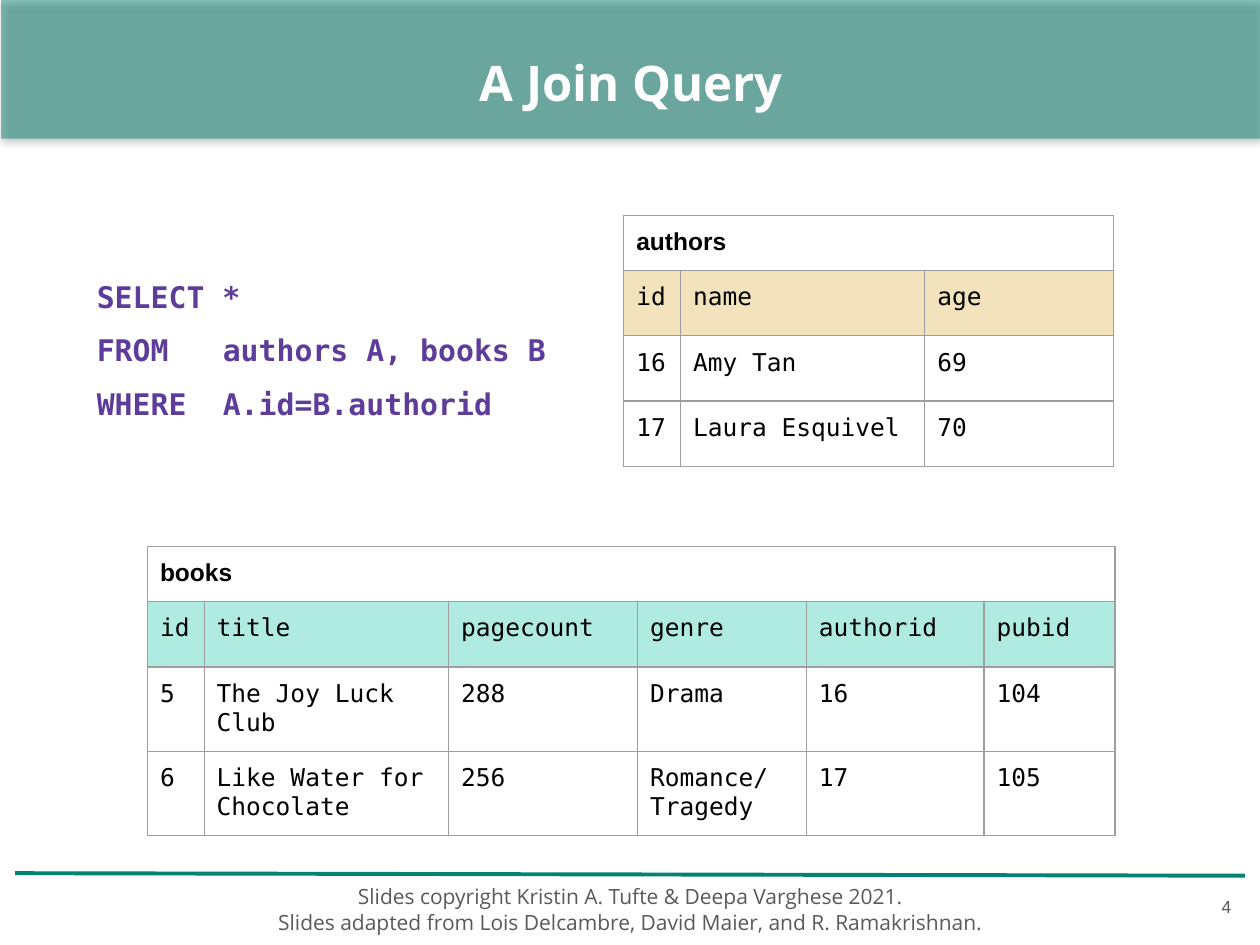
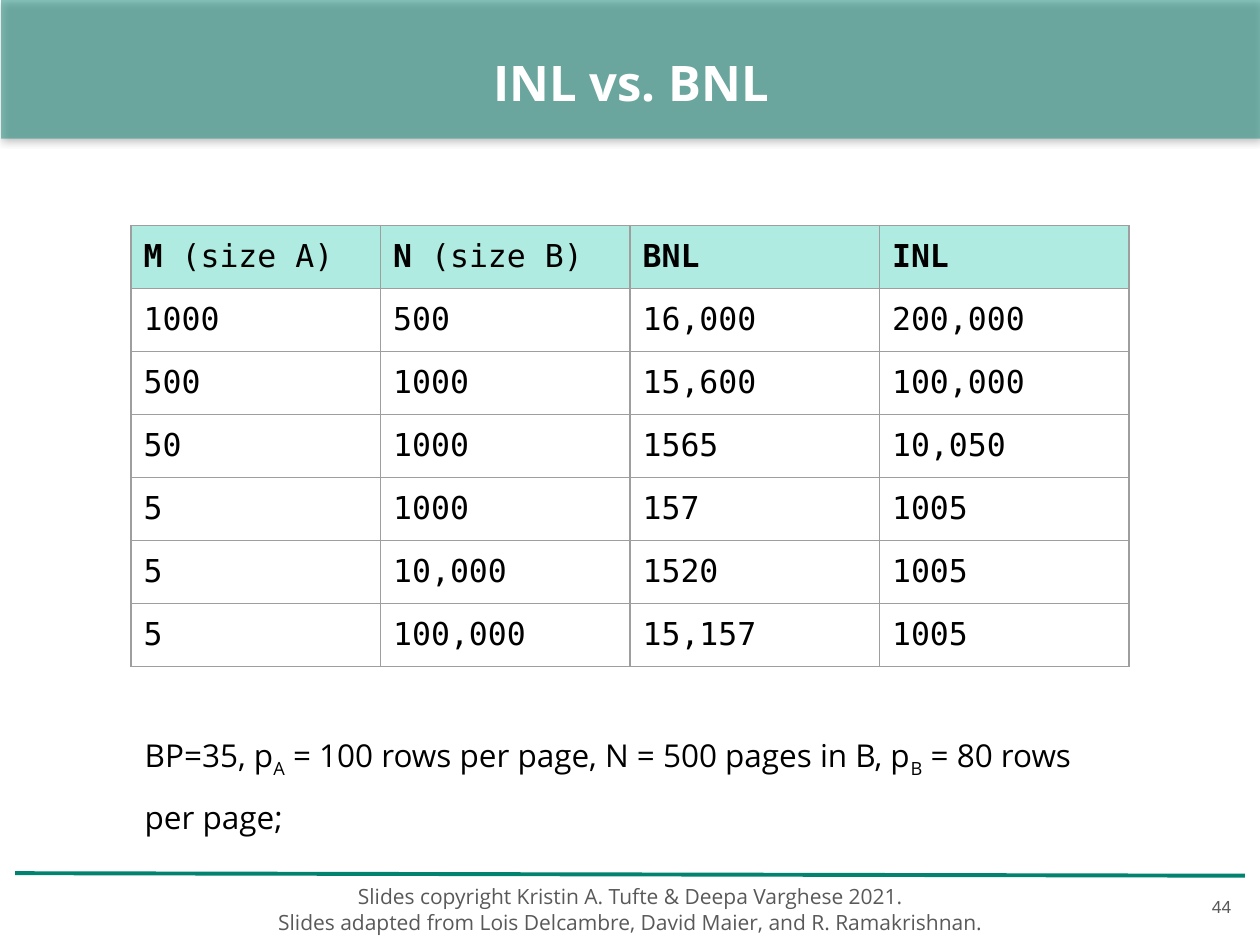
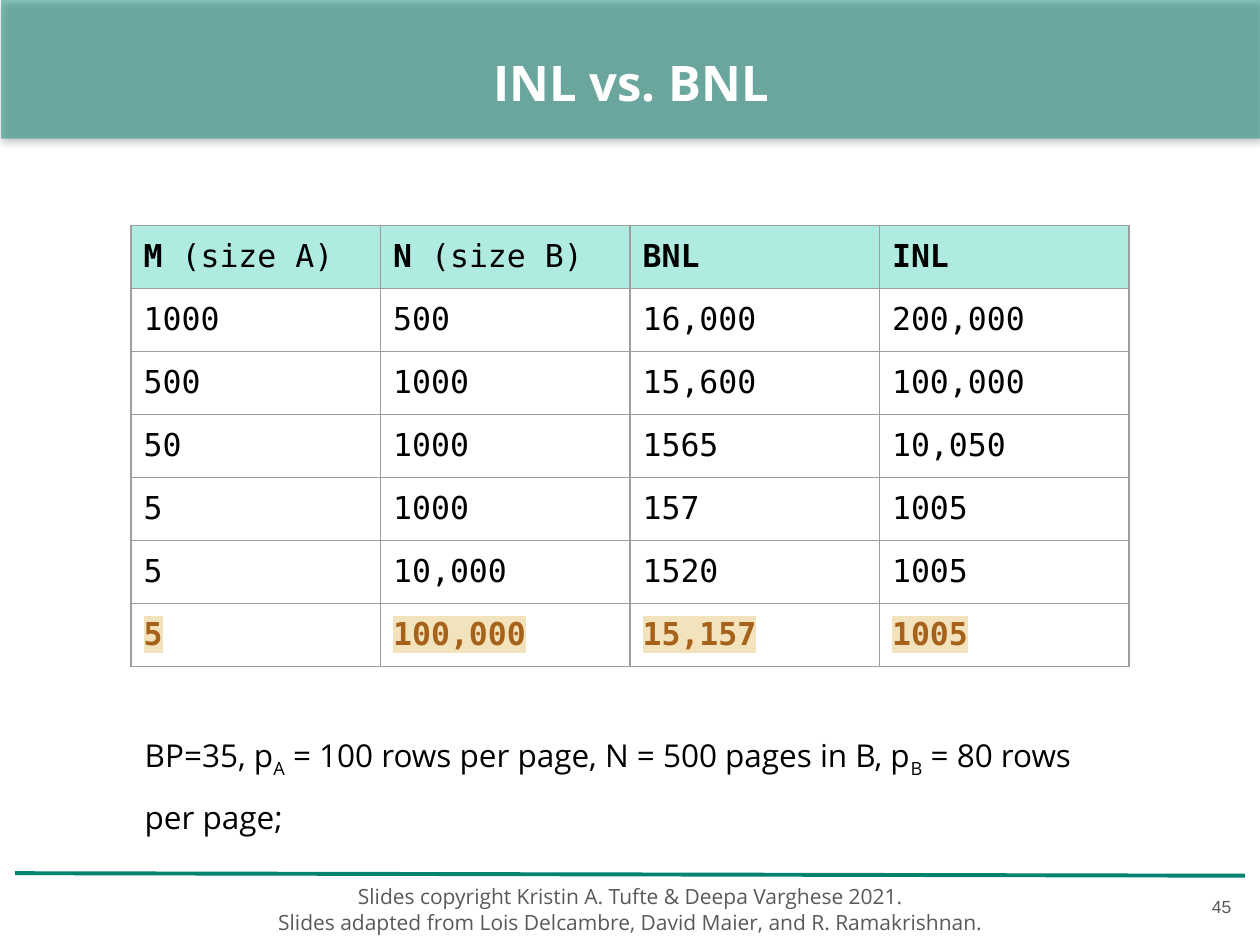
from lxml import etree
from pptx import Presentation
from pptx.dml.color import RGBColor
from pptx.enum import shapes, text
from pptx.oxml import ns
from pptx.util import Inches, Pt

# Shared look
COLORS = {
    "green": "018370", "white": "FFFFFF", "black": "000000", "gray": "595959",
    "grid": "9E9E9E", "mint": "B0EBE1", "sand": "F3E3BC", "purple": "5E3C99",
    "brown": "A6611A",
}
SANS, MONO, PLAIN = "Open Sans", "DejaVu Sans Mono", "Arial"
LEFT, CENTER, RIGHT = text.PP_ALIGN.LEFT, text.PP_ALIGN.CENTER, text.PP_ALIGN.RIGHT
TOP, MIDDLE = text.MSO_ANCHOR.TOP, text.MSO_ANCHOR.MIDDLE
CELL_MARGIN = 0.1

# Content
CREDITS = [
    "Slides copyright Kristin A. Tufte & Deepa Varghese 2021.",
    "Slides adapted from Lois Delcambre, David Maier, and R. Ramakrishnan.",
]
QUERY = ["SELECT *", "FROM\tauthors A, books B", "WHERE\tA.id=B.authorid"]
BOOKS = [
    ["id", "title", "pagecount", "genre", "authorid", "pubid"],
    ["5", "The Joy Luck Club", "288", "Drama", "16", "104"],
    ["6", "Like Water for Chocolate", "256", "Romance/Tragedy", "17", "105"],
]
AUTHORS = [
    ["id", "name", "age"],
    ["16", "Amy Tan", "69"],
    ["17", "Laura Esquivel", "70"],
]
COST_HEADER = [("M ", "(size A)"), ("N ", "(size B)"), ("BNL",), ("INL",)]
COSTS = [
    ["1000", "500", "16,000", "200,000"],
    ["500", "1000", "15,600", "100,000"],
    ["50", "1000", "1565", "10,050"],
    ["5", "1000", "157", "1005"],
    ["5", "10,000", "1520", "1005"],
    ["5", "100,000", "15,157", "1005"],
]
# Odd entries are subscripts
ASSUMPTIONS = ["BP=35, p", "A", " = 100 rows per page, N = 500 pages in B, p", "B",
               " = 80 rows per page;"]
COST_SLIDES = [(44, False), (45, True)]


def rgb(color):
    return RGBColor.from_string(COLORS[color])


def add_xml(parent, tag, **attributes):
    return etree.SubElement(parent, ns.qn(tag), attributes)


def add_run(paragraph, words, size, font, color, bold=False, highlight=None, subscript=False):
    run = paragraph.add_run()
    run.text = words
    run.font.size, run.font.name, run.font.bold = Pt(size), font, bold
    run.font.color.rgb = rgb(color)
    properties = run._r.get_or_add_rPr()
    if subscript:
        properties.set("baseline", "-25000")
    if highlight:
        mark = etree.Element(ns.qn("a:highlight"))
        add_xml(mark, "a:srgbClr", val=COLORS[highlight])
        properties.find(ns.qn("a:solidFill")).addnext(mark)


def add_text(slide, at, lines, align=LEFT, anchor=TOP, spacing=1.0, inset=0.05):
    """Each line is a list of (words, style) runs."""
    frame = slide.shapes.add_textbox(*map(Inches, at)).text_frame
    frame.word_wrap = True
    frame.vertical_anchor = anchor
    frame.margin_top = frame.margin_bottom = Inches(inset)
    for number, line in enumerate(lines):
        paragraph = frame.add_paragraph() if number else frame.paragraphs[0]
        paragraph.alignment, paragraph.line_spacing = align, spacing
        for words, style in line:
            add_run(paragraph, words, **style)
    return frame


def add_grid(slide, left, top, widths, heights, header_fill, rows, header_row=0):
    """Each cell is a list of (words, style) runs; a short row spans the table."""
    table = slide.shapes.add_table(
        len(heights), len(widths), Inches(left), Inches(top),
        Inches(sum(widths)), Inches(sum(heights))).table
    table.first_row = table.horz_banding = False
    for column, width in zip(table.columns, widths):
        column.width = Inches(width)
    for row, height in zip(table.rows, heights):
        row.height = Inches(height)
    for r, row in enumerate(rows):
        for c in range(len(widths)):
            cell = table.cell(r, c)
            cell.margin_left = cell.margin_right = Inches(CELL_MARGIN)
            cell.margin_top = cell.margin_bottom = Inches(CELL_MARGIN)
            for side in ("a:lnL", "a:lnR", "a:lnT", "a:lnB"):
                border = add_xml(cell._tc.get_or_add_tcPr(), side, w=str(Pt(0.75)))
                add_xml(add_xml(border, "a:solidFill"), "a:srgbClr", val=COLORS["grid"])
            if r == header_row:
                cell.fill.solid()
                cell.fill.fore_color.rgb = rgb(header_fill)
            else:
                cell.fill.background()
            if c < len(row):
                for words, style in row[c]:
                    add_run(cell.text_frame.paragraphs[0], words, **style)
        if len(row) < len(widths):
            table.cell(r, 0).merge(table.cell(r, len(widths) - 1))


def add_relation(slide, name, records, left, top, widths, heights, header_fill):
    name_style = dict(size=14, font=PLAIN, color="black", bold=True)
    value_style = dict(size=14, font=MONO, color="black")
    rows = [[[(name, name_style)]]]
    rows += [[[(value, value_style)] for value in record] for record in records]
    add_grid(slide, left, top, widths, heights, header_fill, rows, header_row=1)


def add_slide(deck, title, number):
    slide = deck.slides.add_slide(deck.slide_layouts[6])

    # Translucent title band with a soft shadow
    band = slide.shapes.add_shape(
        shapes.MSO_SHAPE.RECTANGLE, Inches(0.01), 0, Inches(10), Inches(1.1))
    band.fill.solid()
    band.fill.fore_color.rgb = rgb("green")
    band.line.fill.background()
    band_color = band._element.spPr.find(ns.qn("a:solidFill"))[0]
    add_xml(band_color, "a:alpha", val="46000")
    band.shadow.inherit = False
    effects = band._element.spPr.find(ns.qn("a:effectLst"))
    shadow = add_xml(effects, "a:outerShdw", blurRad=str(Pt(4.5)), dist=str(Pt(1.5)),
                     dir="5400000", algn="bl", rotWithShape="0")
    add_xml(add_xml(shadow, "a:srgbClr", val=COLORS["black"]), "a:alpha", val="50000")

    # Footer rule and credits
    rule = slide.shapes.add_connector(
        shapes.MSO_CONNECTOR.STRAIGHT, *map(Inches, (0.12, 6.93, 9.88, 6.95)))
    rule.line.color.rgb = rgb("green")
    rule.line.width = Pt(2.25)
    add_xml(rule._element.spPr, "a:effectLst")
    credit_style = dict(size=12, font=SANS, color="gray")
    add_text(slide, (0.53, 6.93, 8.95, 0.57), [[(line, credit_style)] for line in CREDITS],
             CENTER, MIDDLE)

    # Title and page number
    title_style = dict(size=28, font=SANS, color="white", bold=True)
    add_text(slide, (0.01, -0.02, 10, 1.1), [[(title, title_style)]], CENTER, MIDDLE, 1.5)
    number_style = dict(size=10, font=PLAIN, color="gray")
    add_text(slide, (9.27, 6.91, 0.6, 0.57), [[(str(number), number_style)]], RIGHT, MIDDLE)
    return slide


def build_join_slide(deck):
    slide = add_slide(deck, "A Join Query", 4)
    query_style = dict(size=17, font=MONO, color="purple", bold=True)
    query = add_text(slide, (0.67, 2.02, 3.88, 1.39),
                     [[(line, query_style)] for line in QUERY], spacing=1.5)
    for paragraph in query.paragraphs:
        tabs = add_xml(paragraph._p.get_or_add_pPr(), "a:tabLst")
        add_xml(tabs, "a:tab", pos=str(Inches(1)), algn="l")

    widths = [0.45, 1.94, 1.5, 1.34, 1.41, 1.04]
    add_relation(slide, "books", BOOKS, 1.17, 4.34, widths, [0.43, 0.52, 0.67, 0.67], "mint")
    add_relation(slide, "authors", AUTHORS, 4.95, 1.71, widths[:3], [0.42] + [0.52] * 3, "sand")


def build_cost_slide(deck, number, stress_last):
    slide = add_slide(deck, "INL vs. BNL", number)
    value_style = dict(size=18, font=MONO, color="black")
    stress_style = dict(value_style, color="brown", bold=True, highlight="sand")
    rows = [[[(words, dict(value_style, bold=part == 0)) for part, words in enumerate(heading)]
             for heading in COST_HEADER]]
    for record in COSTS:
        style = stress_style if stress_last and record is COSTS[-1] else value_style
        rows.append([[(value, style)] for value in record])
    add_grid(slide, 1.04, 1.79, [1.98] * 4, [0.49] * len(rows), "mint", rows)

    note_style = dict(size=18, font=SANS, color="black")
    note = [(words, dict(note_style, subscript=part % 2 == 1))
            for part, words in enumerate(ASSUMPTIONS)]
    add_text(slide, (1.05, 5.57, 7.92, 0.73), [note], spacing=1.5, inset=0.1)


def main():
    deck = Presentation()
    deck.slide_width, deck.slide_height = Inches(10), Inches(7.5)
    build_join_slide(deck)
    for number, stress_last in COST_SLIDES:
        build_cost_slide(deck, number, stress_last)
    deck.save("out.pptx")


if __name__ == "__main__":
    main()
